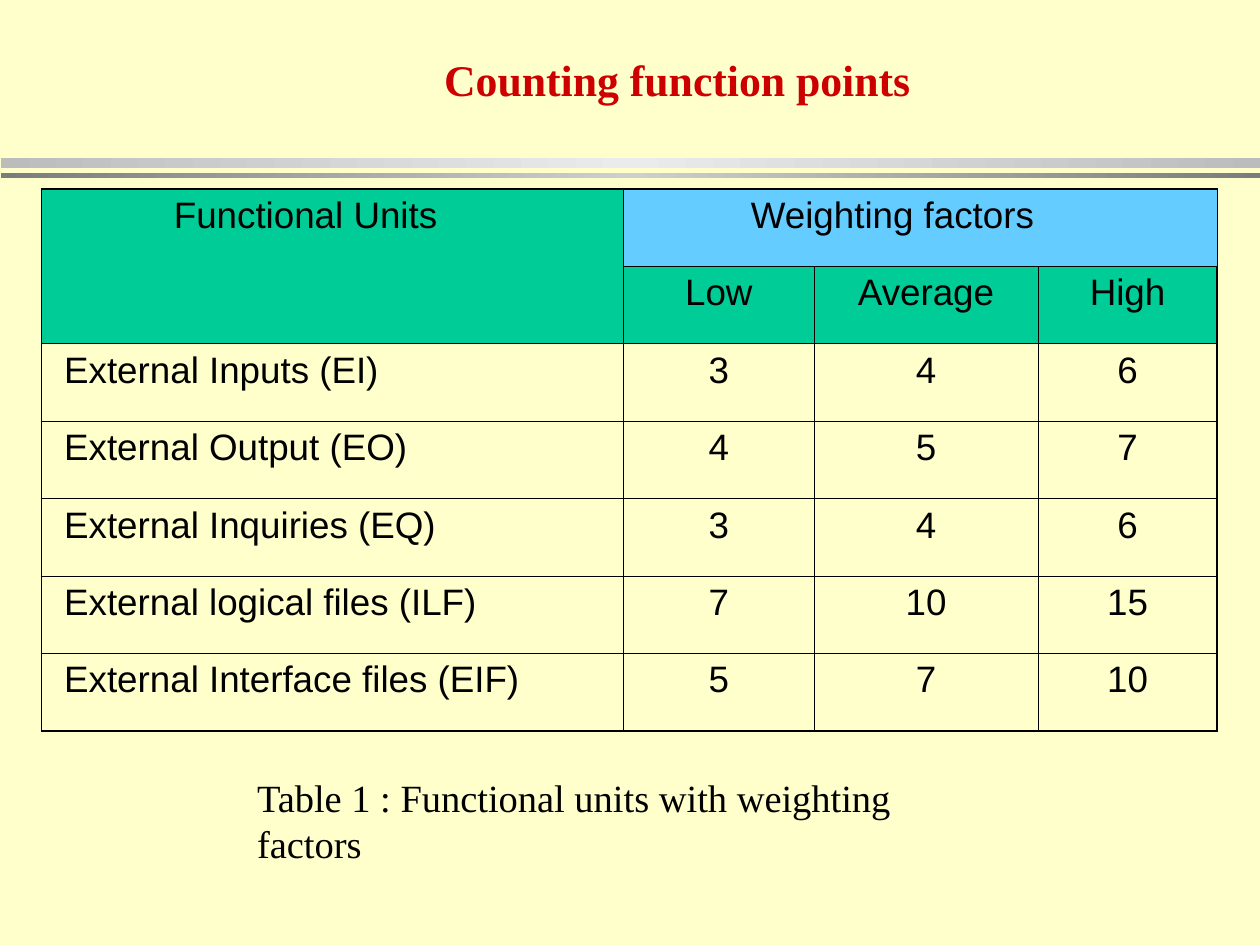
from copy import deepcopy

from lxml import etree
from pptx import Presentation
from pptx.dml.color import RGBColor
from pptx.enum.shapes import MSO_SHAPE as Shape
from pptx.enum.text import PP_ALIGN as Align
from pptx.oxml.ns import qn
from pptx.util import Inches, Pt

COLORS = {
    "background": "FFFFCC", "title": "CC0000", "text": "000000",
    "green": "00CC98", "blue": "65CCFF",
}
ROWS = [
    ["Functional Units", "Weighting factors", "", ""],
    ["", "Low", "Average", "High"],
    ["External Inputs (EI)", "3", "4", "6"],
    ["External Output (EO)", "4", "5", "7"],
    ["External Inquiries (EQ)", "3", "4", "6"],
    ["External logical files (ILF)", "7", "10", "15"],
    ["External Interface files (EIF)", "5", "7", "10"],
]
COLUMN_WIDTHS = [4.62, 1.51, 1.78, 1.42]
TABLE_HEIGHT = 4.3


def add_text(left, top, width, height, text, size, color):
    """Add a wrapping Times text box without insets and return its paragraph."""
    box = page.shapes.add_textbox(Inches(left), Inches(top), Inches(width), Inches(height))
    frame = box.text_frame
    frame.word_wrap = True
    frame.margin_left = frame.margin_right = frame.margin_top = frame.margin_bottom = 0
    para = frame.paragraphs[0]
    para.text = text
    para.font.name = "Times New Roman"
    para.font.size = Pt(size)
    para.font.color.rgb = RGBColor.from_string(color)
    return para


def add_border(cell, side, width):
    line = etree.SubElement(cell._tc.get_or_add_tcPr(), qn(f"a:ln{side}"), w=str(Pt(width)))
    fill = etree.SubElement(line, qn("a:solidFill"))
    etree.SubElement(fill, qn("a:srgbClr"), val=COLORS["text"])


deck = Presentation()
deck.slide_width, deck.slide_height = Inches(10), Inches(7.5)
page = deck.slides.add_slide(deck.slide_layouts[6])
page.background.fill.solid()
page.background.fill.fore_color.rgb = RGBColor.from_string(COLORS["background"])

# Double rule under the title, brightest in the middle
for top, height, edge, middle in [(1.25, 0.08, "BCBCBC", "EBEBEB"),
                                  (1.37, 0.04, "7C7C7C", "CECECE")]:
    rule = page.shapes.add_shape(Shape.RECTANGLE, Inches(0.01), Inches(top),
                                 Inches(9.99), Inches(height))
    rule.shadow.inherit = False
    rule.line.fill.background()
    rule.fill.gradient()
    rule.fill.gradient_angle = 0
    stop_list = rule._element.spPr.find(".//" + qn("a:gsLst"))
    stop_list.append(deepcopy(stop_list[0]))
    for stop, position, color in zip(rule.fill.gradient_stops, (0, 0.5, 1),
                                     (edge, middle, edge)):
        stop.position = position
        stop.color.rgb = RGBColor.from_string(color)

title = add_text(0.75, 0.42, 9.25, 0.42, "Counting function points", 25, COLORS["title"])
title.alignment = Align.CENTER
title.font.bold = True

table = page.shapes.add_table(len(ROWS), len(COLUMN_WIDTHS), Inches(0.33), Inches(1.5),
                              Inches(sum(COLUMN_WIDTHS)), Inches(TABLE_HEIGHT)).table
table.first_row = table.horz_banding = False
for column, width in zip(table.columns, COLUMN_WIDTHS):
    column.width = Inches(width)
for row in table.rows:
    row.height = Inches(TABLE_HEIGHT / len(ROWS))
table.cell(0, 0).merge(table.cell(1, 0))
table.cell(0, 1).merge(table.cell(0, 3))

last_row, last_column = len(ROWS) - 1, len(COLUMN_WIDTHS) - 1
for r, texts in enumerate(ROWS):
    for c, text in enumerate(texts):
        cell = table.cell(r, c)
        on_edge = {"L": c == 0, "R": c == last_column, "T": r == 0, "B": r == last_row}
        for side, outer in on_edge.items():
            add_border(cell, side, 1.08 if outer else 0.45)
        if r < 2:
            cell.fill.solid()
            header = "blue" if r == 0 and c > 0 else "green"
            cell.fill.fore_color.rgb = RGBColor.from_string(COLORS[header])
        else:
            cell.fill.background()
        if not text:
            continue
        para = cell.text_frame.paragraphs[0]
        para.text = text
        if r > 0 and c > 0:
            para.alignment = Align.CENTER
        else:
            indent = 0.08 if r > 0 else (0.95, 0.91)[c]
            para._p.get_or_add_pPr().set("marL", str(Inches(indent)))
        para.font.name = "Arial"
        para.font.size = Pt(21)
        para.font.color.rgb = RGBColor.from_string(COLORS["text"])

add_text(2.04, 6.14, 5.9, 0.73, "Table 1 : Functional units with weighting factors",
         22, COLORS["text"])

deck.save("out.pptx")
